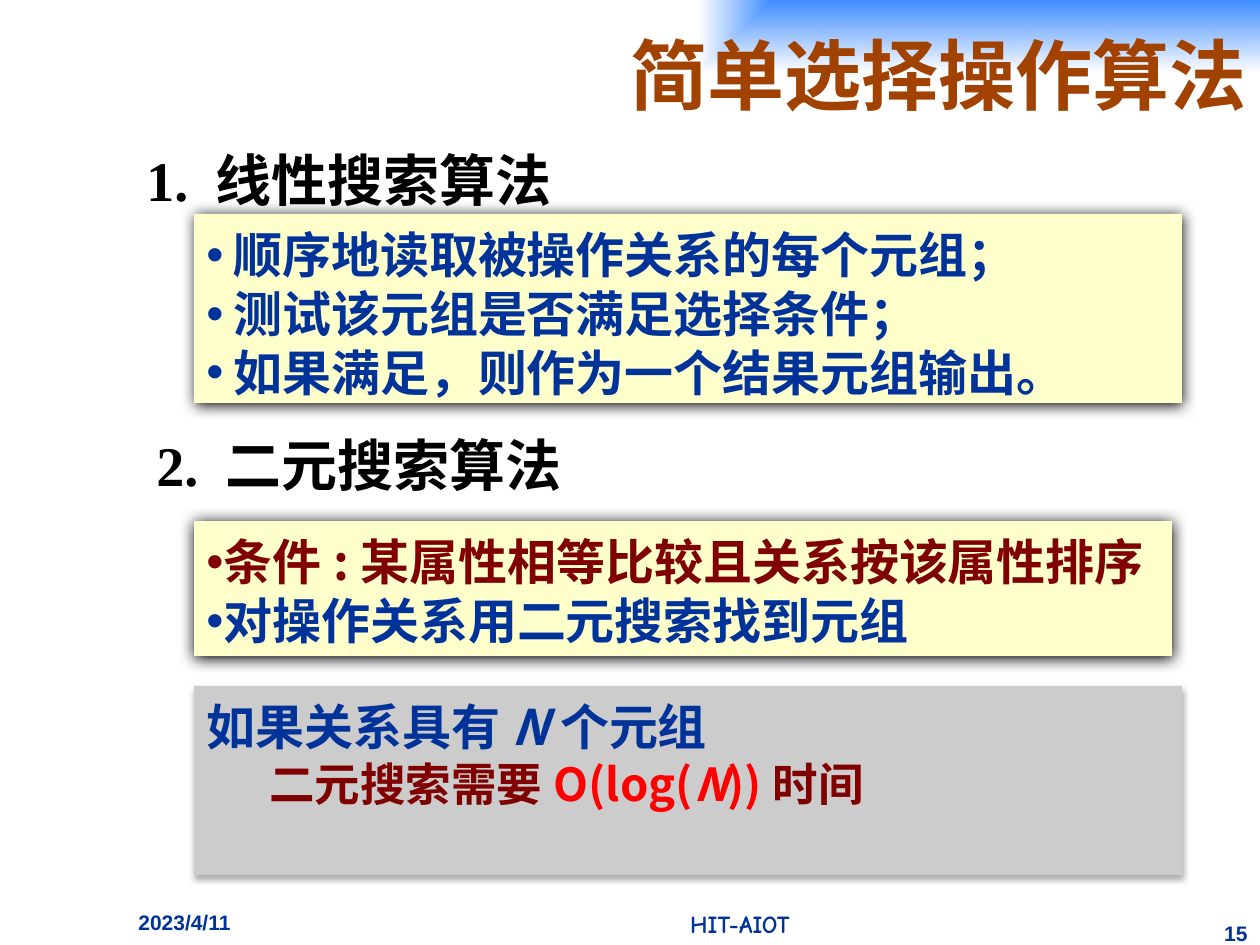
"""Builds the slide on simple selection algorithms."""
from dataclasses import dataclass

from pptx import Presentation
from pptx.dml.color import RGBColor
from pptx.enum.shapes import MSO_SHAPE as SHAPE
from pptx.enum.text import MSO_ANCHOR as ANCHOR, MSO_AUTO_SIZE as AUTO, PP_ALIGN as ALIGN
from pptx.oxml import parse_xml
from pptx.oxml.ns import nsdecls, qn
from pptx.util import Pt

EMU_PER_PX = 914400 / 126


@dataclass(frozen=True)
class Theme:
    """Colours, fonts and type sizes."""
    sky: str = "3F8DFF"
    white: str = "FFFFFF"
    brown: str = "A24200"
    navy: str = "003399"
    maroon: str = "800000"
    red: str = "FF0000"
    black: str = "000000"
    cream: str = "FFFFCC"
    grey: str = "CCCCCC"
    cjk: str = "Noto Sans CJK JP"
    title_font: str = "Noto Sans CJK SC"
    serif: str = "Times New Roman"
    sans: str = "Arial"
    comic: str = "Comic Neue"
    title: int = 44
    heading: int = 32
    body: int = 28
    sub: int = 26
    label: int = 14
    small: int = 12
    leading: float = 1.2


@dataclass(frozen=True)
class Run:
    """A piece of text with its look."""
    text: str
    size: int
    color: str
    font: str = Theme.cjk
    italic: bool = False


@dataclass(frozen=True)
class Para:
    """A paragraph of runs with its indents in px."""
    runs: tuple
    margin: int = 0
    indent: int = 0
    bullet: bool = False


def px(n):
    """Turns px into EMU."""
    return round(n * EMU_PER_PX)


class SlideBuilder:
    """Holds the theme and the current slide."""

    def __init__(self, s, theme):
        """Keeps the slide and its theme."""
        self.s, self.theme = s, theme

    def add_run(self, p, run):
        """Adds one bold run to a paragraph."""
        r = p.add_run()
        r.text = run.text
        f = r.font
        f.size, f.bold, f.italic, f.name = Pt(run.size), True, run.italic, run.font
        f.color.rgb = RGBColor.from_string(run.color)
        f._element.find(qn("a:latin")).addnext(
            parse_xml(f'<a:ea {nsdecls("a")} typeface="{run.font}"/>'))

    def fill_text(self, tf, paras):
        """Writes top-anchored paragraphs with fixed leading."""
        tf.word_wrap, tf.vertical_anchor, tf.margin_top = True, ANCHOR.TOP, px(11)
        for i, para in enumerate(paras):
            p = tf.add_paragraph() if i else tf.paragraphs[0]
            p.alignment = ALIGN.LEFT
            p.line_spacing = Pt(para.runs[0].size * self.theme.leading)
            pPr = p._p.get_or_add_pPr()
            pPr.set("marL", str(px(para.margin)))
            pPr.set("indent", str(px(para.indent)))
            if para.bullet:
                pPr.append(parse_xml(f'<a:buFont {nsdecls("a")} typeface="{self.theme.sans}"/>'))
                pPr.append(parse_xml(f'<a:buChar {nsdecls("a")} char="•"/>'))
            for run in para.runs:
                self.add_run(p, run)

    def title(self, text, x, y, w, h):
        """Formats the title with a glow from its top right corner."""
        t = self.theme
        sp = self.s.shapes.title
        sp.left, sp.top, sp.width, sp.height = map(px, (x, y, w, h))
        stops = "".join(
            f'<a:gs pos="{pos}"><a:srgbClr val="{color}"/></a:gs>'
            for pos, color in ((0, t.sky), (100000, t.white)))
        sp._element.spPr.append(parse_xml(
            f'<a:gradFill {nsdecls("a")} rotWithShape="1"><a:gsLst>{stops}</a:gsLst>'
            '<a:path path="rect"><a:fillToRect l="100000" t="0" r="0" b="100000"/>'
            '</a:path></a:gradFill>'))
        tf = sp.text_frame
        tf.auto_size, tf.vertical_anchor = AUTO.NONE, ANCHOR.MIDDLE
        p = tf.paragraphs[0]
        p.alignment = ALIGN.RIGHT
        self.add_run(p, Run(text, t.title, t.brown, t.title_font))

    def heading(self, number, text, x, y, w, h):
        """Adds a numbered heading."""
        t = self.theme
        tb = self.s.shapes.add_textbox(*map(px, (x, y, w, h)))
        runs = (Run(number, t.heading, t.black, t.serif), Run(text, t.heading, t.black))
        self.fill_text(tb.text_frame, [Para(runs, 39, -39)])

    def panel(self, paras, x, y, w, h, color, shadow):
        """Adds a filled box with a shadow given as alpha, blur and distance."""
        sp = self.s.shapes.add_shape(SHAPE.RECTANGLE, *map(px, (x, y, w, h)))
        sp.fill.solid()
        sp.fill.fore_color.rgb = RGBColor.from_string(color)
        sp.line.fill.background()
        sp.shadow.inherit = False
        alpha, blur, dist = shadow
        sp._element.spPr.find(qn("a:effectLst")).append(parse_xml(
            f'<a:outerShdw {nsdecls("a")} blurRad="{Pt(blur)}" dist="{Pt(dist)}" '
            f'dir="5400000" rotWithShape="0"><a:srgbClr val="{self.theme.black}">'
            f'<a:alpha val="{alpha * 1000}"/></a:srgbClr></a:outerShdw>'))
        self.fill_text(sp.text_frame, paras)

    def footer(self, text, x, y, w, h, align, size, font):
        """Adds one footer label."""
        tf = self.s.shapes.add_textbox(*map(px, (x, y, w, h))).text_frame
        tf.word_wrap = True
        p = tf.paragraphs[0]
        p.alignment = align
        self.add_run(p, Run(text, size, self.theme.navy, font))


def main():
    """Builds and saves the slide."""
    t = Theme()
    prs = Presentation()
    prs.slide_width, prs.slide_height = px(1260), px(945)
    b = SlideBuilder(prs.slides.add_slide(prs.slide_layouts[5]), t)
    b.title("简单选择操作算法", 136, 0, 1124, 147)

    b.footer("2023/4/11", 126, 903, 220, 42, ALIGN.LEFT, t.small, t.sans)
    b.footer("HIT-AIOT", 441, 903, 598, 42, ALIGN.CENTER, t.label, t.comic)
    b.footer("15", 1207, 914, 53, 31, ALIGN.RIGHT, t.small, t.sans)

    b.heading("1. ", "线性搜索算法", 134, 135, 556, 73)
    b.heading("2. ", "二元搜索算法", 144, 420, 655, 73)

    strong, soft = (100, 8.5, 1), (32, 3.5, 2.2)
    steps = ("顺序地读取被操作关系的每个元组；",
             "测试该元组是否满足选择条件；",
             "如果满足，则作为一个结果元组输出。")
    b.panel([Para((Run(step, t.body, t.navy),), 27, -27, True) for step in steps],
            194, 214, 988, 189, t.cream, strong)

    rules = (("条件:某属性相等比较且关系按该属性排序", t.maroon),
             ("对操作关系用二元搜索找到元组", t.navy))
    b.panel([Para((Run(rule, t.body, color),), 17, -17, True) for rule, color in rules],
            194, 521, 978, 135, t.cream, strong)

    size_runs = (Run("如果关系具有", t.body, t.navy),
                 Run("N", t.body, t.navy, italic=True),
                 Run("个元组", t.body, t.navy))
    cost_runs = (Run("二元搜索需要", t.sub, t.maroon),
                 Run("O(log(", t.sub, t.red),
                 Run("N", t.sub, t.red, italic=True),
                 Run("))", t.sub, t.red),
                 Run("时间", t.sub, t.maroon))
    b.panel([Para(size_runs, 32, -32), Para(cost_runs, 94, -31)],
            194, 686, 988, 189, t.grey, soft)
    prs.save("out.pptx")


if __name__ == "__main__":
    main()
